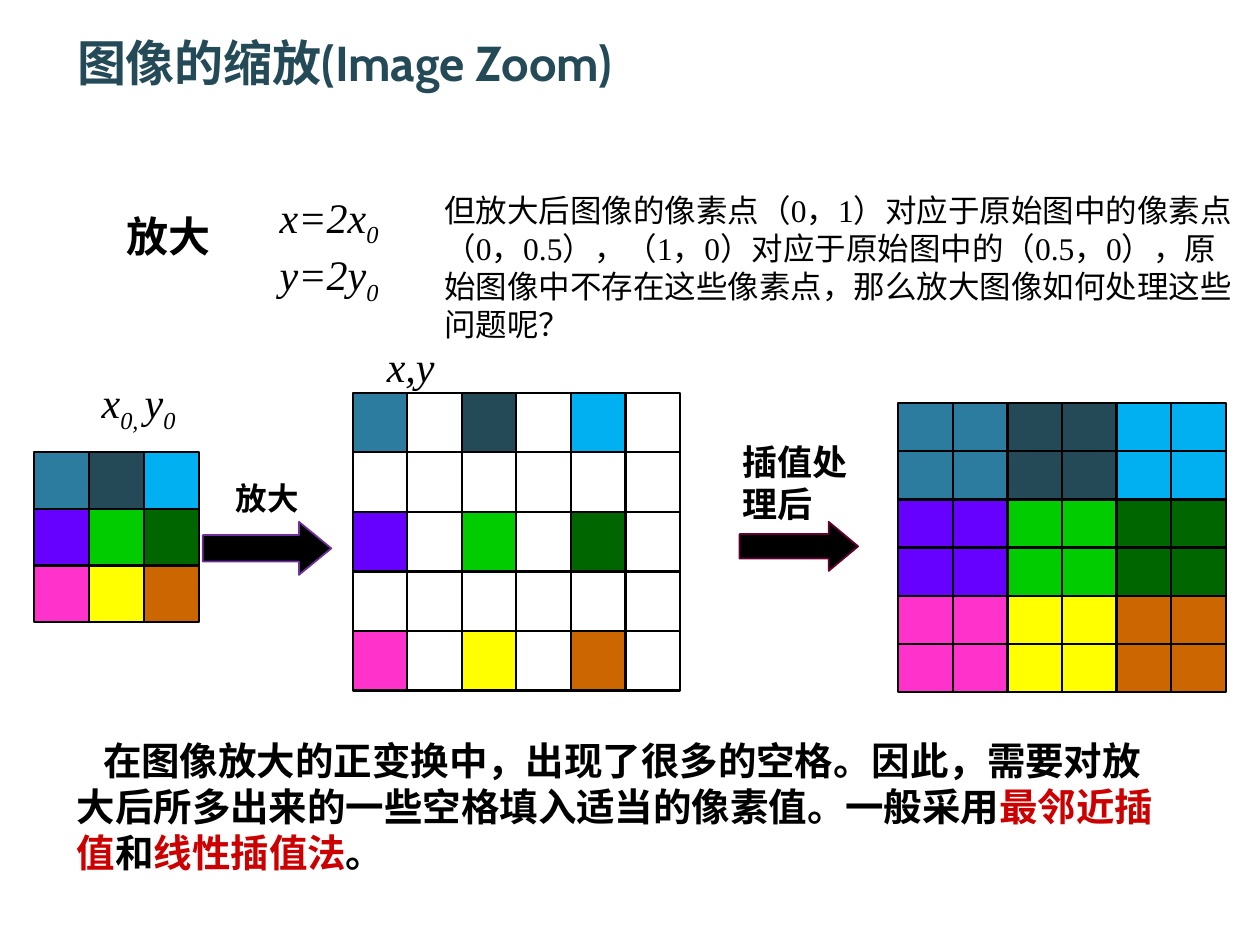
from pptx import Presentation
from pptx.dml.color import RGBColor
from pptx.enum.shapes import MSO_SHAPE as Shape
from pptx.enum.text import MSO_ANCHOR as Anchor, MSO_AUTO_SIZE as AutoSize, PP_ALIGN as Align
from pptx.util import Cm, Pt

# Content: a paragraph is a list of (text, style), style being "", "sub" or a colour
TITLE = "图像的缩放(Image Zoom)"
SERIF, SANS = "Times New Roman", "Noto Sans CJK SC"
BLACK, WHITE, RED = "000000", "FFFFFF", "CC0000"

PIXELS = [
    ["2C7C9F", "244A58", "00B0F0"],
    ["6600FF", "00CC00", "006600"],
    ["FF33CC", "FFFF00", "CC6600"],
]
SPREAD = [[PIXELS[r // 2][c // 2] if r % 2 == c % 2 == 0 else WHITE
           for c in range(6)] for r in range(5)]
NEAREST = [[PIXELS[r // 2][c // 2] for c in range(6)] for r in range(6)]

# Colours, left, top, cell width, cell height (cm)
GRIDS = [
    (PIXELS, 0.69, 9.12, 1.11, 1.14),
    (SPREAD, 7.11, 7.92, 1.1, 1.2),
    (NEAREST, 18.11, 8.13, 1.1, 0.97),
]

# Left, top, width, height (cm), head length ratio, line colour
ARROWS = [
    (4.09, 10.52, 2.59, 1.07, 0.61, "7030A0"),
    (14.91, 10.52, 2.39, 0.99, 0.6, "660033"),
]

FORMULA = dict(font=SERIF, size=24, italic=True, align=Align.CENTER)
TEXTS = [
    ((4.5, 3.73, 4.27, 2.29), FORMULA,
     [[("x=2x", ""), ("0", "sub")], [("y=2y", ""), ("0", "sub")]]),
    ((1.5, 7.47, 2.59, 1.27), FORMULA,
     [[("x", ""), ("0, ", "sub"), ("y", ""), ("0", "sub")]]),
    ((7.11, 6.73, 2.34, 1.27), FORMULA, [[("x,y", "")]]),
    ((2.29, 4.11, 2.21, 1.27),
     dict(font=SERIF, size=24, bold=True, align=Align.CENTER, wrap=False),
     [[("放大", "")]]),
    ((1.3, 14.73, 22.4, 3.05), dict(font=SANS, size=22, bold=True, indent=0.53),
     [[("在图像放大的正变换中，出现了很多的空格。因此，需要对放大后所多出来的"
        "一些空格填入适当的像素值。一般采用", ""),
       ("最邻近插值", RED), ("和", ""), ("线性插值法", RED), ("。", "")]]),
    ((14.71, 8.74, 3, 1.96), dict(font=SANS, size=20, bold=True, anchor=Anchor.MIDDLE),
     [[("插值处理后", "")]]),
    ((4.5, 9.53, 2.39, 1.02), dict(font=SANS, size=18, bold=True), [[("放大", "")]]),
    ((8.71, 3.73, 16.69, 3.3), dict(font=SERIF, size=18, anchor=Anchor.MIDDLE),
     [[("但放大后图像的像素点（0，1）对应于原始图中的像素点（0，0.5），（1，0）"
        "对应于原始图中的（0.5，0），原始图像中不存在这些像素点，那么放大图像"
        "如何处理这些问题呢？", "")]]),
]


def color(hex_code):
    return RGBColor.from_string(hex_code)


def place(shape, left, top, width, height):
    shape.left, shape.top, shape.width, shape.height = map(Cm, (left, top, width, height))


def add_block(parent, preset, box, fill, line, line_width):
    block = parent.add_shape(preset, *map(Cm, box))
    block.shadow.inherit = False
    block.fill.solid()
    block.fill.fore_color.rgb = color(fill)
    block.line.color.rgb = color(line)
    block.line.width = Pt(line_width)
    return block


def write(frame, paragraphs, font, size, ink=BLACK, bold=False, italic=False,
          align=Align.LEFT, anchor=Anchor.TOP, wrap=True, indent=0):
    frame.word_wrap = wrap
    frame.auto_size = AutoSize.NONE
    frame.vertical_anchor = anchor
    for number, pieces in enumerate(paragraphs):
        paragraph = frame.add_paragraph() if number else frame.paragraphs[0]
        paragraph.alignment = align
        if indent:
            paragraph._p.get_or_add_pPr().set("indent", str(Cm(indent)))
        style = paragraph.font
        style.name, style.size, style.bold, style.italic = font, Pt(size), bold, italic
        style.color.rgb = color(ink)
        for text, look in pieces:
            run = paragraph.add_run()
            run.text = text
            if look == "sub":
                run._r.get_or_add_rPr().set("baseline", "-25000")
            elif look:
                run.font.color.rgb = color(look)


prs = Presentation()
prs.slide_width, prs.slide_height = Cm(25.4), Cm(19.05)
slide = prs.slides.add_slide(prs.slide_layouts[5])

# Title
title = slide.shapes.title
place(title, 1.3, 0.53, 21.21, 2.01)
write(title.text_frame, [[(TITLE, "")]], "Cabin", 28, ink="244A58", bold=True)

# Pixel grids
for rows, left, top, width, height in GRIDS:
    grid = slide.shapes.add_group_shape()
    for r, row in enumerate(rows):
        for c, fill in enumerate(row):
            cell = (left + c * width, top + r * height, width, height)
            add_block(grid.shapes, Shape.RECTANGLE, cell, fill, BLACK, 1.25)

# Arrows between the grids
for *box, head, line in ARROWS:
    arrow = add_block(slide.shapes, Shape.RIGHT_ARROW, box, BLACK, line, 1)
    arrow.adjustments[1] = head

# Formulas, labels and explanations
for box, style, paragraphs in TEXTS:
    textbox = slide.shapes.add_textbox(*map(Cm, box))
    write(textbox.text_frame, paragraphs, **style)

prs.save("out.pptx")
